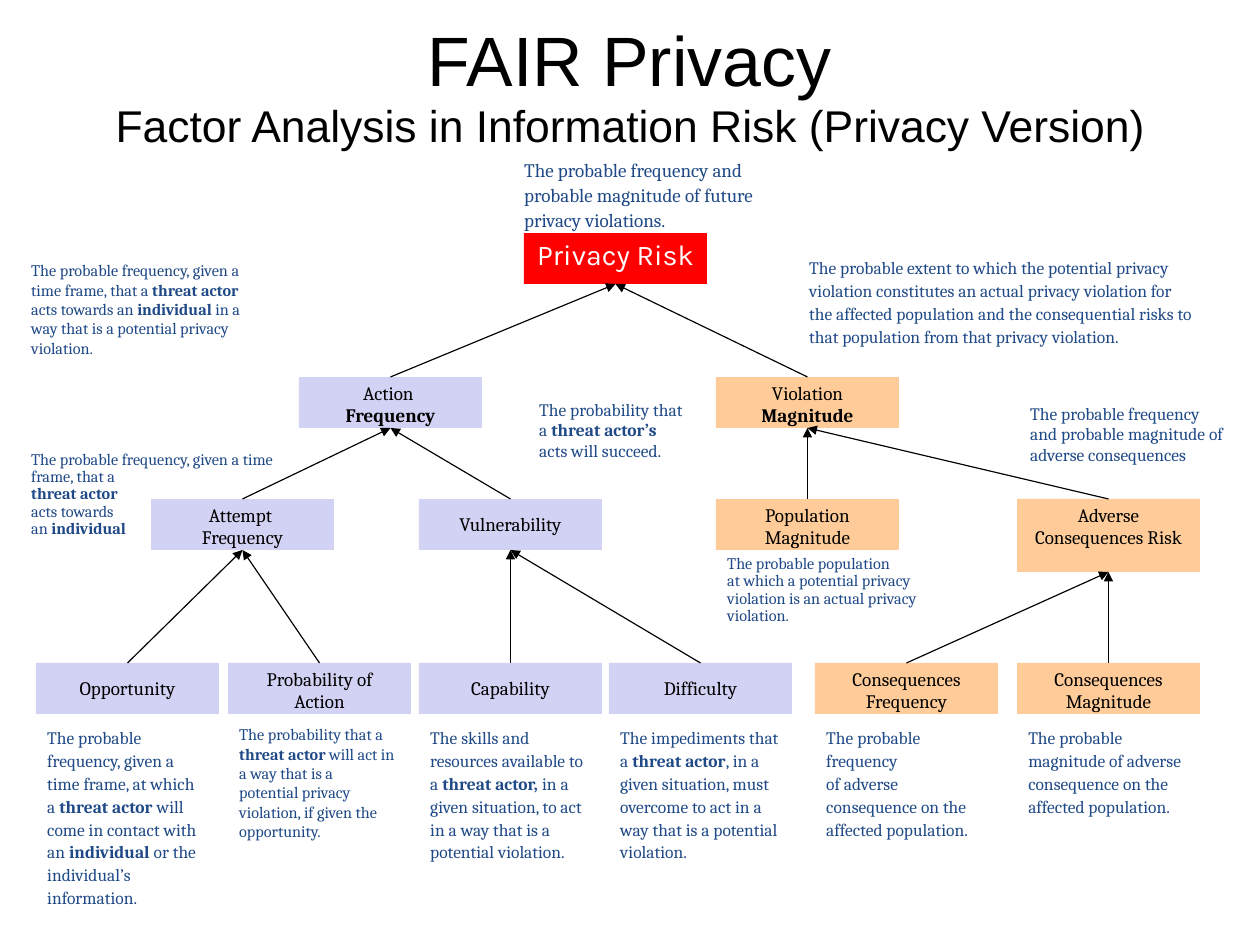
from collections import namedtuple

from pptx import Presentation, util as u
from pptx.dml import color
from pptx.enum import shapes, text
from pptx.oxml import ns, xmlchemy

PX = u.Cm(28) // 1260
BLACK, WHITE, NAVY = "000000", "FFFFFF", "204A87"
RED, LILAC, ORANGE = "FF0000", "D2D2F4", "FFCC99"
ROW_TOPS = (0, 144, 266, 430)
NODE_WIDTH = 183

Factor = namedtuple("Factor", "key parent x row height fill label note note_box size spacing")

FACTORS = [
    Factor("risk", None, 488, 0, 51, RED, "Privacy Risk",
           "The probable frequency and probable magnitude of future privacy violations.",
           (-11, -82, 259, 89), 12, 1.09),
    Factor("action", "risk", 263, 1, 51, LILAC, "Action |*Frequency*",
           "The probable frequency, given a time frame, that a *threat actor *acts towards an "
           "*individual* in a way that is a potential privacy violation.",
           (-279, -121, 253, 126), 10.2, 0.99),
    Factor("violation", "risk", 680, 1, 51, ORANGE, "Violation *Magnitude*",
           "The probable extent to which the potential privacy violation constitutes an actual "
           "privacy violation for the affected population and the consequential risks to that "
           "population from that privacy violation.",
           (82, -127, 409, 128), 11, 1.09),
    Factor("attempt", "action", 115, 2, 51, LILAC, "Attempt |Frequency",
           "The probable frequency, given a time frame, that a\n*threat actor*\nacts towards\n"
           "an *individual*",
           (-131, -53, 285, 98), 10.2, 0.89),
    Factor("vulnerability", "action", 383, 2, 51, LILAC, "Vulnerability",
           "The probability that a *threat actor’s* acts will succeed.",
           (109, -105, 167, 98), 11, 0.99),
    Factor("population", "violation", 680, 2, 51, ORANGE, "Population Magnitude",
           "The probable population\n"
           "at which a potential privacy violation is an actual privacy violation.",
           (0, 51, 230, 86), 10.2, 0.89),
    Factor("adverse", "violation", 981, 2, 73, ORANGE, "Adverse Consequences Risk",
           "The probable frequency and probable magnitude of adverse consequences",
           (2, -101, 221, 73), 11, 0.99),
    Factor("opportunity", "attempt", 0, 3, 51, LILAC, "Opportunity",
           "The probable frequency, given a time frame, at which a* threat actor *will come in "
           "contact with an *individual *or the individual’s information.",
           (0, 57, 179, 218), 11, 1.09),
    Factor("probability", "attempt", 192, 3, 51, LILAC, "Probability of Action",
           "The probability that a* threat actor *will act in a way that is a potential privacy "
           "violation, if given the opportunity.",
           (0, 57, 179, 155), 10.2, 0.99),
    Factor("capability", "vulnerability", 383, 3, 51, LILAC, "Capability",
           "The skills and resources available to a* threat actor, *in a given situation, to act "
           "in a way that is a potential violation.",
           (0, 57, 183, 197), 11, 1.09),
    Factor("difficulty", "vulnerability", 573, 3, 51, LILAC, "Difficulty",
           "The impediments that a *threat actor*, in a given situation, must overcome to act in "
           "a way that is a potential violation.",
           (0, 57, 183, 178), 11, 1.09),
    Factor("frequency", "adverse", 779, 3, 51, ORANGE, "Consequences Frequency",
           "The probable frequency\nof adverse consequence on the affected population.",
           (0, 57, 184, 166), 11, 1.09),
    Factor("magnitude", "adverse", 981, 3, 51, ORANGE, "Consequences Magnitude",
           "The probable magnitude of adverse consequence on the affected population.",
           (0, 57, 183, 154), 11, 1.09),
]


def rgb(value):
    """Turn a hex string into a colour."""
    return color.RGBColor.from_string(value)


def emu(*lengths):
    """Turn px lengths into EMU."""
    return [length * PX for length in lengths]


def assign(target, values):
    """Set each attribute named in values."""
    for name, value in values.items():
        setattr(target, name, value)


def add_run(paragraph, words, size, hue, face="Cambria", bold=False):
    """Append one formatted run."""
    run = paragraph.add_run()
    run.text = words
    assign(run.font, {"size": u.Pt(size), "name": face, "bold": bold})
    run.font.color.rgb = rgb(hue)


def write(frame, words, size, hue, face="Cambria", **layout):
    """Fill a frame; newline parts paragraphs, bar breaks lines, stars mark bold."""
    for index, passage in enumerate(words.split("\n")):
        paragraph = frame.add_paragraph() if index else frame.paragraphs[0]
        assign(paragraph, layout)
        for row, line in enumerate(passage.split("|")):
            if row:
                paragraph.add_line_break()
            for part, piece in enumerate(line.split("*")):
                if piece:
                    add_run(paragraph, piece, size, hue, face, part % 2 == 1)


def heading(slide, box):
    """Place the title and subtitle."""
    frame = slide.shapes.add_textbox(*emu(*box)).text_frame
    assign(frame, {"word_wrap": True, "vertical_anchor": text.MSO_ANCHOR.MIDDLE,
                   "margin_left": 0, "margin_right": 0, "margin_top": PX, "margin_bottom": 0})
    title = frame.paragraphs[0]
    assign(title, {"alignment": text.PP_ALIGN.CENTER, "line_spacing": 0.93})
    add_run(title, "FAIR Privacy", 44, BLACK, "Arial")
    title.add_line_break()
    add_run(title, "Factor Analysis in Information Risk (Privacy Version)", 28, BLACK, "Arial")


def definition(slide, box, factor):
    """Place the explanation of a factor."""
    frame = slide.shapes.add_textbox(*emu(*box)).text_frame
    frame.word_wrap = True
    write(frame, factor.note, factor.size, NAVY, line_spacing=factor.spacing)


def node(slide, box, factor):
    """Place the labelled rectangle of a factor."""
    rectangle = slide.shapes.add_shape(shapes.MSO_SHAPE.RECTANGLE, *emu(*box))
    rectangle.shadow.inherit = False
    rectangle.fill.solid()
    rectangle.fill.fore_color.rgb = rgb(factor.fill)
    rectangle.line.fill.background()
    anchor = text.MSO_ANCHOR.TOP if " " in factor.label else text.MSO_ANCHOR.MIDDLE
    assign(rectangle.text_frame, {"word_wrap": True, "vertical_anchor": anchor,
                                  "margin_left": 12 * PX, "margin_right": 12 * PX})
    style = (12, BLACK) if factor.parent else (18, WHITE, "Karla")
    write(rectangle.text_frame, factor.label, *style,
          alignment=text.PP_ALIGN.CENTER, line_spacing=0.98)
    return rectangle


def arrow(slide, child, parent):
    """Join the top of a child to the bottom of its parent."""
    link = slide.shapes.add_connector(shapes.MSO_CONNECTOR.STRAIGHT, 0, 0, 0, 0)
    link.begin_connect(child, 0)
    link.end_connect(parent, 2)
    link.line.width = u.Pt(0.75)
    link.line.color.rgb = rgb(BLACK)
    tail = xmlchemy.OxmlElement("a:tailEnd")
    tail.set("type", "triangle")
    properties = link._element.spPr
    properties.find(ns.qn("a:ln")).append(tail)
    properties.append(xmlchemy.OxmlElement("a:effectLst"))


def risk_tree(slide, box):
    """Place all factors, their definitions and the arrows between them."""
    left, top = box[:2]
    nodes = {}
    for factor in FACTORS:
        x, y = left + factor.x, top + ROW_TOPS[factor.row]
        dx, dy, width, height = factor.note_box
        definition(slide, (x + dx, y + dy, width, height), factor)
        nodes[factor.key] = node(slide, (x, y, NODE_WIDTH, factor.height), factor)
    for factor in FACTORS:
        if factor.parent:
            arrow(slide, nodes[factor.key], nodes[factor.parent])


def main():
    """Build and save the slide."""
    deck = Presentation()
    assign(deck, {"slide_width": 1260 * PX, "slide_height": 945 * PX})
    slide = deck.slides.add_slide(deck.slide_layouts[6])
    heading(slide, (63, 29, 1134, 118))
    risk_tree(slide, (36, 233, 1164, 705))
    deck.save("out.pptx")


if __name__ == "__main__":
    main()
